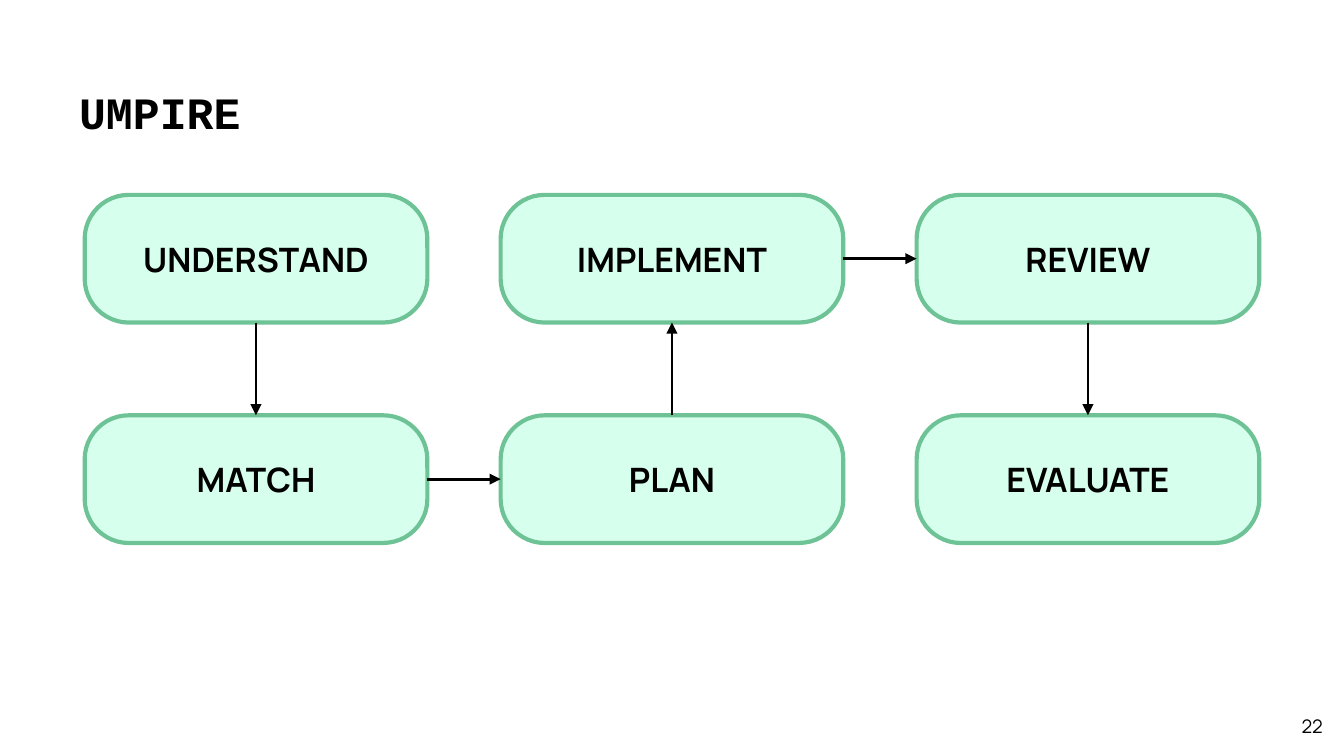
from pptx import Presentation, util as u
from pptx.dml.color import RGBColor
from pptx.enum import shapes, text
from pptx.oxml.ns import qn
from lxml import etree

# Content: each step with its column and row, in reading order of the flow
TITLE = "UMPIRE"
PAGE_NUMBER = "22"
STEPS = [
    ("UNDERSTAND", 0, 0),
    ("MATCH", 0, 1),
    ("PLAN", 1, 1),
    ("IMPLEMENT", 1, 0),
    ("REVIEW", 2, 0),
    ("EVALUATE", 2, 1),
]

THEME = {
    "ink": RGBColor.from_string("000000"),
    "box_fill": RGBColor.from_string("D7FFEE"),
    "box_line": RGBColor.from_string("6EC396"),
    "box_line_width": u.Pt(2.25),
    "arrow_width": u.Pt(1.5),
    "title": {"name": "Courier New", "size": u.Pt(24), "bold": True},
    "step": {"name": "Manrope", "size": u.Pt(18), "bold": True},
    "page": {"name": "Manrope", "size": u.Pt(10), "bold": False},
}

# Slide and grid, in inches
SLIDE_WIDTH = 10
SLIDE_HEIGHT = SLIDE_WIDTH * 9 / 16
LEFT, RIGHT = 0.63, 9.37
TOP, BOTTOM = 1.45, 4.04
BOX_WIDTH, BOX_HEIGHT = 2.55, 0.95
COLUMN_STEP = (RIGHT - LEFT - BOX_WIDTH) / 2
ROW_STEP = BOTTOM - TOP - BOX_HEIGHT
CORNER = 0.345

# (column change, row change): (start side, end side)
SIDES = {(0, 1): (2, 0), (0, -1): (0, 2), (1, 0): (3, 1)}


def write(shape, words, style, align, anchor):
    frame = shape.text_frame
    frame_format = {"word_wrap": True, "vertical_anchor": anchor}
    for side in ("left", "right", "top", "bottom"):
        frame_format["margin_" + side] = u.Inches(0.1)
    for name, value in frame_format.items():
        setattr(frame, name, value)
    paragraph = frame.paragraphs[0]
    paragraph.alignment = align
    run = paragraph.add_run()
    run.text = words
    for name, value in THEME[style].items():
        setattr(run.font, name, value)
    run.font.color.rgb = THEME["ink"]


def add_label(slide, area, *label):
    write(slide.shapes.add_textbox(*map(u.Inches, area)), *label)


def add_step(slide, words, column, row):
    area = (LEFT + column * COLUMN_STEP, TOP + row * ROW_STEP, BOX_WIDTH, BOX_HEIGHT)
    shape = slide.shapes.add_shape(
        shapes.MSO_SHAPE.ROUNDED_RECTANGLE, *map(u.Inches, area))
    shape.adjustments[0] = CORNER
    shape.shadow.inherit = False
    shape.fill.solid()
    shape.fill.fore_color.rgb = THEME["box_fill"]
    shape.line.color.rgb = THEME["box_line"]
    shape.line.width = THEME["box_line_width"]
    write(shape, words, "step", text.PP_ALIGN.CENTER, text.MSO_ANCHOR.MIDDLE)
    return shape


def add_arrow(slide, start, end, start_side, end_side):
    arrow = slide.shapes.add_connector(shapes.MSO_CONNECTOR.STRAIGHT, 0, 0, 0, 0)
    arrow.begin_connect(start, start_side)
    arrow.end_connect(end, end_side)
    arrow.line.color.rgb = THEME["ink"]
    arrow.line.width = THEME["arrow_width"]
    properties = arrow._element.spPr
    etree.SubElement(properties.find(qn("a:ln")), qn("a:tailEnd"), type="triangle")
    etree.SubElement(properties, qn("a:effectLst"))


def main():
    presentation = Presentation()
    presentation.slide_width = u.Inches(SLIDE_WIDTH)
    presentation.slide_height = u.Inches(SLIDE_HEIGHT)
    slide = presentation.slides.add_slide(presentation.slide_layouts[6])

    # Title and page number
    add_label(slide, (0.49, 0.53, 9.01, 0.63), TITLE, "title",
              text.PP_ALIGN.LEFT, text.MSO_ANCHOR.TOP)
    add_label(slide, (9.34, 5.24, 0.6, 0.33), PAGE_NUMBER, "page",
              text.PP_ALIGN.RIGHT, text.MSO_ANCHOR.MIDDLE)

    # Steps, then an arrow from each one to the next
    boxes = [add_step(slide, *step) for step in STEPS]
    for index in range(len(STEPS) - 1):
        _, column, row = STEPS[index]
        _, next_column, next_row = STEPS[index + 1]
        sides = SIDES[next_column - column, next_row - row]
        add_arrow(slide, boxes[index], boxes[index + 1], *sides)

    presentation.save("out.pptx")


if __name__ == "__main__":
    main()
